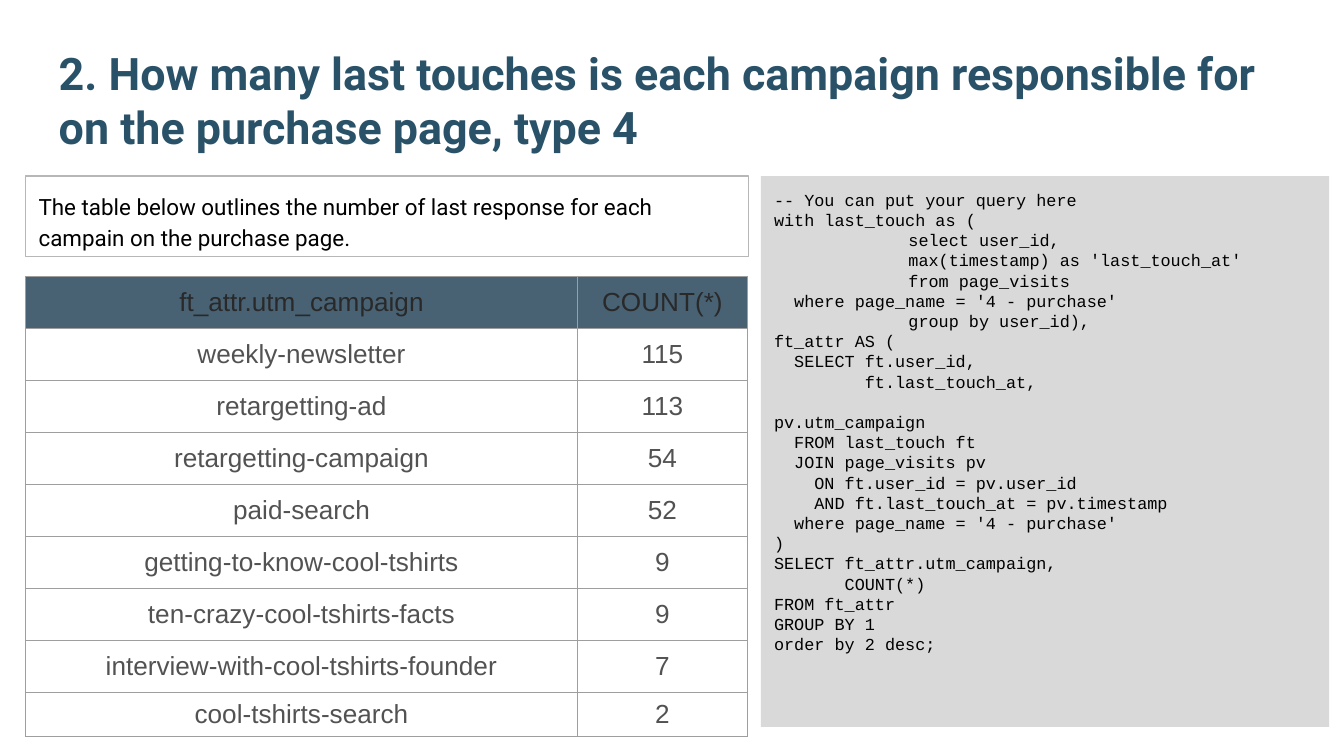
from lxml import etree
from pptx import Presentation
from pptx.dml.color import RGBColor
from pptx.enum.shapes import MSO_SHAPE
from pptx.enum.text import MSO_ANCHOR, MSO_AUTO_SIZE, PP_ALIGN
from pptx.oxml.ns import qn
from pptx.util import Cm, Pt

RECTANGLE = MSO_SHAPE.RECTANGLE
TOP, MIDDLE, BOTTOM = MSO_ANCHOR.TOP, MSO_ANCHOR.MIDDLE, MSO_ANCHOR.BOTTOM
LEFT, CENTER = PP_ALIGN.LEFT, PP_ALIGN.CENTER
NO_AUTOFIT = MSO_AUTO_SIZE.NONE

COLORS = {
    "title": "295269",
    "text": "000000",
    "panel": "D9D9D9",
    "note_line": "B7B7B7",
    "grid": "9E9E9E",
    "header_fill": "204056",
    "header_text": "292929",
    "cell_text": "525252",
}
INSET = Cm(0.25)
TAB_STOPS = [Cm(2.54 * step) for step in (1, 2, 3)]

TITLE = ("2. How many last touches is each campaign responsible for "
         "on the purchase page, type 4")
NOTE = ("The table below outlines the number of last response for each "
        "campain on the purchase page.")
QUERY = """-- You can put your query here
with last_touch as (
\tselect user_id,
  \tmax(timestamp) as 'last_touch_at'
\tfrom page_visits
  where page_name = '4 - purchase'
\tgroup by user_id),
ft_attr AS (
  SELECT ft.user_id,
         ft.last_touch_at,
  \t\t\t pv.utm_campaign
  FROM last_touch ft
  JOIN page_visits pv
    ON ft.user_id = pv.user_id
    AND ft.last_touch_at = pv.timestamp
  where page_name = '4 - purchase'
)
SELECT ft_attr.utm_campaign,
       COUNT(*)
FROM ft_attr
GROUP BY 1
order by 2 desc;"""
CAMPAIGNS = [
    ("ft_attr.utm_campaign", "COUNT(*)"),
    ("weekly-newsletter", "115"),
    ("retargetting-ad", "113"),
    ("retargetting-campaign", "54"),
    ("paid-search", "52"),
    ("getting-to-know-cool-tshirts", "9"),
    ("ten-crazy-cool-tshirts-facts", "9"),
    ("interview-with-cool-tshirts-founder", "7"),
    ("cool-tshirts-search", "2"),
]


def rgb(name):
    return RGBColor.from_string(COLORS[name])


def write_text(frame, text, *, font, size, color, bold=False, align=LEFT,
               line_spacing=None, tab_stops=()):
    """Fill a text frame, one paragraph for each line of text."""
    for index, line in enumerate(text.split("\n")):
        paragraph = frame.add_paragraph() if index else frame.paragraphs[0]
        if tab_stops:
            properties = paragraph._p.get_or_add_pPr()
            tab_list = etree.SubElement(properties, qn("a:tabLst"))
            for position in tab_stops:
                etree.SubElement(tab_list, qn("a:tab"), pos=str(position), algn="l")
        paragraph.alignment = align
        if line_spacing:
            paragraph.line_spacing = line_spacing
        run = paragraph.add_run()
        run.text = line
        run.font.name = font
        run.font.size = Pt(size)
        run.font.bold = bold
        run.font.color.rgb = rgb(color)


def set_frame(frame, anchor):
    frame.word_wrap = True
    frame.auto_size = NO_AUTOFIT
    frame.vertical_anchor = anchor
    frame.margin_left = frame.margin_right = INSET
    frame.margin_top = frame.margin_bottom = INSET


def place_title(slide, left, top, width, height):
    title = slide.shapes.title
    title.left, title.top, title.width, title.height = left, top, width, height
    set_frame(title.text_frame, BOTTOM)
    write_text(title.text_frame, TITLE, font="Roboto", size=24,
               color="title", bold=True)


def add_panel(slide, box, fill=None, line=None):
    shape = slide.shapes.add_shape(RECTANGLE, *box)
    shape.shadow.inherit = False
    if fill:
        shape.fill.solid()
        shape.fill.fore_color.rgb = rgb(fill)
    else:
        shape.fill.background()
    if line:
        shape.line.color.rgb = rgb(line)
        shape.line.width = Pt(0.75)
    else:
        shape.line.fill.background()
    set_frame(shape.text_frame, TOP)
    return shape.text_frame


def add_query(slide, *box):
    frame = add_panel(slide, box, fill="panel")
    write_text(frame, QUERY, font="Courier New", size=9, color="text",
               tab_stops=TAB_STOPS)


def add_note(slide, *box):
    frame = add_panel(slide, box, line="note_line")
    write_text(frame, NOTE, font="Roboto", size=12, color="text",
               line_spacing=1.15)


def style_cell(cell, is_header):
    properties = cell._tc.get_or_add_tcPr()
    for side in ("lnL", "lnR", "lnT", "lnB"):
        border = etree.SubElement(properties, qn(f"a:{side}"), w=str(Pt(0.75)))
        fill = etree.SubElement(border, qn("a:solidFill"))
        etree.SubElement(fill, qn("a:srgbClr"), val=COLORS["grid"])
    if is_header:
        cell.fill.solid()
        cell.fill.fore_color.rgb = rgb("header_fill")
        color = properties.find(qn("a:solidFill")).find(qn("a:srgbClr"))
        etree.SubElement(color, qn("a:alpha"), val="82000")
    else:
        cell.fill.background()


def add_campaign_table(slide, left, top, width, height):
    count_width, last_height = Cm(3.2), Cm(0.82)
    row_count = len(CAMPAIGNS)
    table = slide.shapes.add_table(row_count, 2, left, top, width, height).table
    table.first_row = table.horz_banding = False
    table.columns[0].width = width - count_width
    table.columns[1].width = count_width
    for row_index, values in enumerate(CAMPAIGNS):
        is_header = row_index == 0
        is_last = row_index == row_count - 1
        table.rows[row_index].height = (
            last_height if is_last else (height - last_height) // (row_count - 1))
        for column_index, value in enumerate(values):
            cell = table.cell(row_index, column_index)
            cell.vertical_anchor = MIDDLE
            cell.margin_top = cell.margin_bottom = Cm(0.1)
            style_cell(cell, is_header)
            write_text(cell.text_frame, value, font="Arial", size=14, align=CENTER,
                       color="header_text" if is_header else "cell_text")


def main():
    presentation = Presentation()
    presentation.slide_width, presentation.slide_height = Cm(25.4), Cm(14.29)
    slide = presentation.slides.add_slide(presentation.slide_layouts[5])

    # Title across the top
    place_title(slide, Cm(0.86), Cm(0.81), Cm(23.67), Cm(2.34))
    # Query on the right
    add_query(slide, Cm(14.38), Cm(3.33), Cm(10.74), Cm(10.41))
    # Note and result table on the left
    add_note(slide, Cm(0.48), Cm(3.33), Cm(13.67), Cm(1.52))
    add_campaign_table(slide, Cm(0.48), Cm(5.23), Cm(13.64), Cm(8.69))

    presentation.save("out.pptx")


if __name__ == "__main__":
    main()
